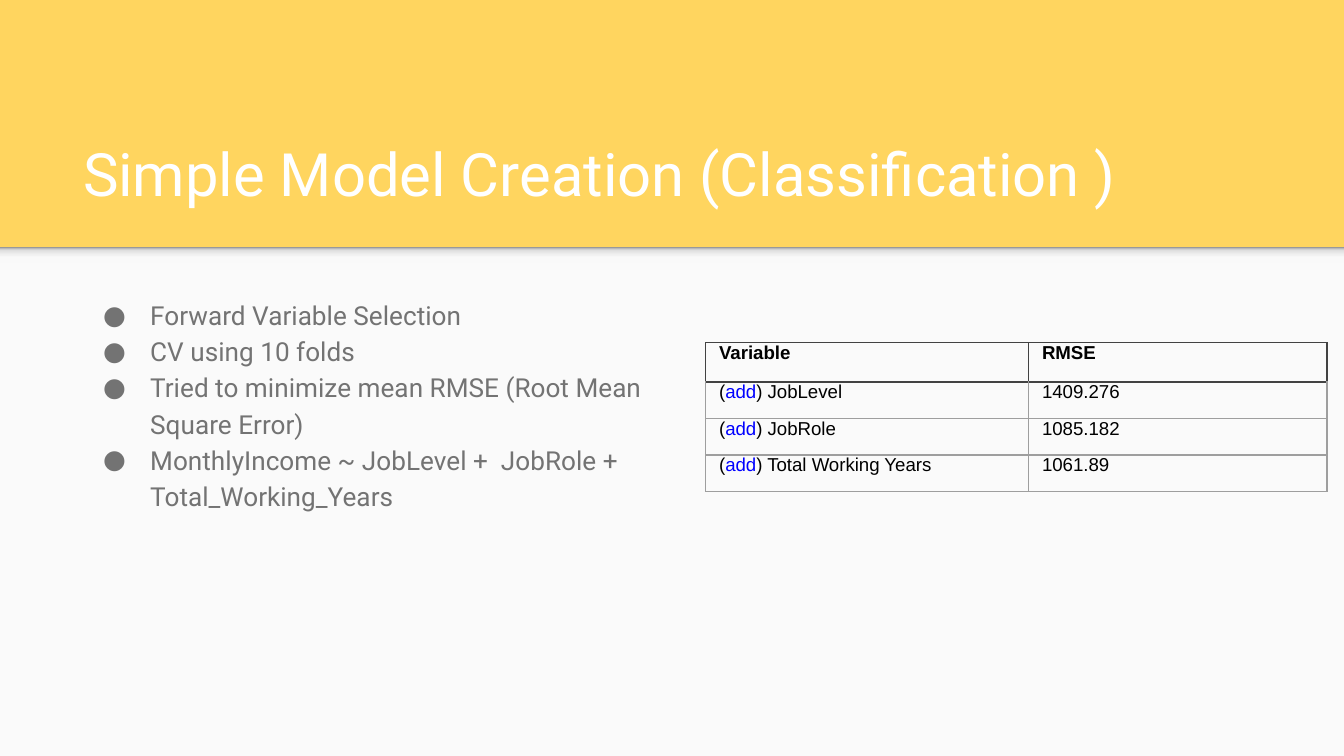
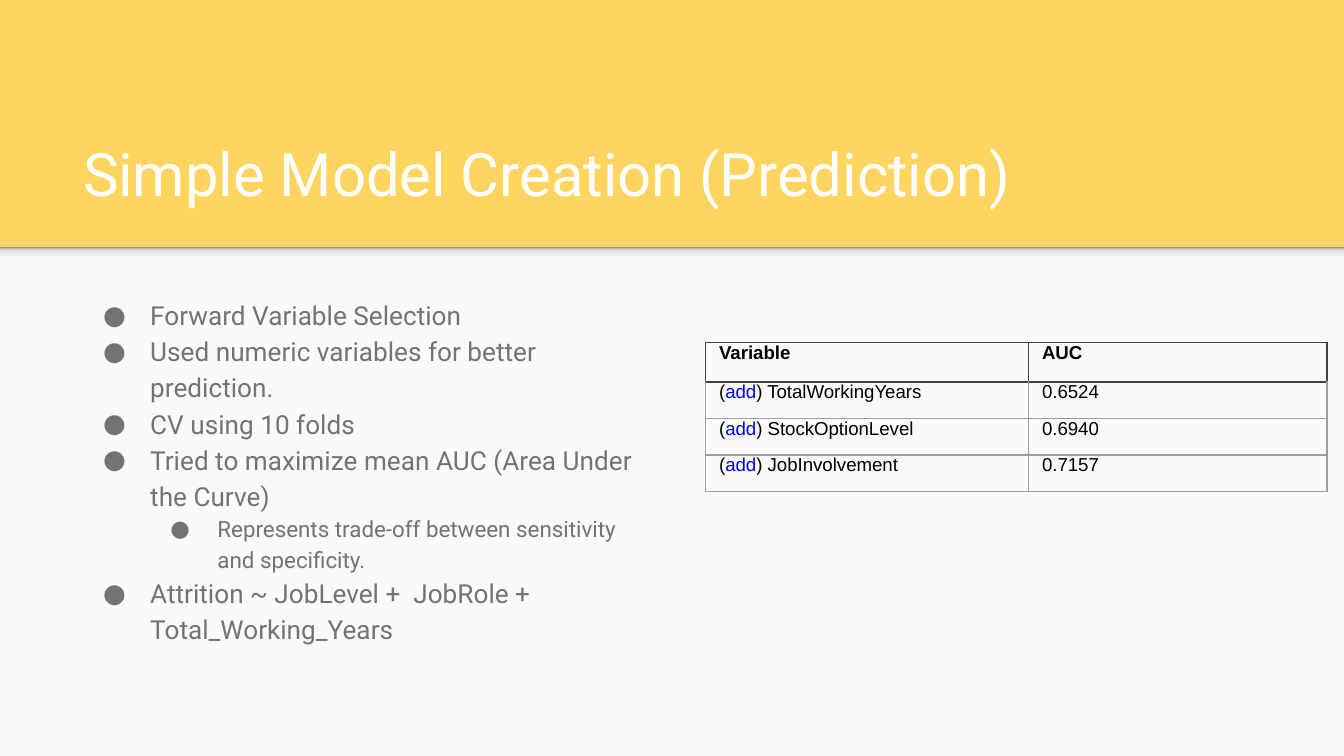
from collections import namedtuple
from dataclasses import dataclass

from lxml import etree
from pptx import Presentation
from pptx import util as u
from pptx.dml.color import RGBColor
from pptx.enum import shapes, text
from pptx.oxml.ns import qn

Box = namedtuple("Box", "x y w h")


@dataclass(frozen=True)
class Theme:
    band: str = "FFD55F"
    page: str = "FAFAFA"
    title: str = "FFFFFF"
    body: str = "737373"
    ink: str = "000000"
    link: str = "0000FF"
    rule: str = "9E9E9E"
    head: str = "424242"
    shade: tuple = ((0, "F9F9F9"), (36, "F9F9F9"), (80, "DEDEDE"), (100, "999999"))
    font: str = "Roboto"
    cell: str = "Arial"
    big: int = 32
    mid: int = 14
    sub: int = 12
    small: int = 10


T = Theme()
WIDE, HIGH, TOP = 25.4, 14.29, 4.67
PAD = 0.25
PAGE = Box(0, TOP, WIDE, HIGH - TOP)
TITLE = Box(1.32, 2.06, 22.83, 2.13)
BODY = Box(1.32, 5.33, 11.38, 7.52)
GRID = Box(13.34, 6.48, 11.74, 2.81)
SPLIT = 0.52   # share of the table's width in the first column
HEAD = 0.74    # height of the table's header row

SLIDES = [
    dict(
        title="Simple Model Creation (Classification )",
        points=[
            (0, "Forward Variable Selection"),
            (0, "CV using 10 folds"),
            (0, "Tried to minimize mean RMSE (Root Mean Square Error)"),
            (0, "MonthlyIncome ~ JobLevel +  JobRole + Total_Working_Years"),
        ],
        score="RMSE",
        steps=[("JobLevel", "1409.276"), ("JobRole", "1085.182"),
               ("Total Working Years", "1061.89")],
    ),
    dict(
        title="Simple Model Creation (Prediction)",
        points=[
            (0, "Forward Variable Selection"),
            (0, "Used numeric variables for better prediction."),
            (0, "CV using 10 folds"),
            (0, "Tried to maximize mean AUC (Area Under the Curve)"),
            (1, "Represents trade-off between sensitivity and specificity."),
            (0, "Attrition ~ JobLevel +  JobRole + Total_Working_Years"),
        ],
        score="AUC",
        steps=[("TotalWorkingYears", "0.6524"), ("StockOptionLevel", "0.6940"),
               ("JobInvolvement", "0.7157")],
    ),
]


def place(box):
    return [u.Cm(n) for n in box]


def node(up, tag, **attrs):
    return etree.SubElement(up, qn(tag), attrs)


def tint(up, color):
    node(node(up, "a:solidFill"), "a:srgbClr", val=color)


def write(para, words, font=T.font, size=T.mid, color=T.body, bold=False):
    """Add a formatted run to a paragraph."""
    run = para.add_run()
    run.text = words
    run.font.name, run.font.size, run.font.bold = font, u.Pt(size), bold
    run.font.color.rgb = RGBColor.from_string(color)


def add_frame(slide, box, anchor):
    frame = slide.shapes.add_textbox(*place(box)).text_frame
    frame.word_wrap = True
    frame.vertical_anchor = anchor
    frame.margin_left = frame.margin_right = u.Cm(PAD)
    frame.margin_top = frame.margin_bottom = u.Cm(PAD)
    return frame


def add_rect(slide, box):
    rect = slide.shapes.add_shape(shapes.MSO_SHAPE.RECTANGLE, *place(box))
    rect.shadow.inherit = False
    rect.line.fill.background()
    return rect


def add_page(slide, box):
    """Colour the slide, with a pale page and a soft shade along its top."""
    back = slide.background.fill
    back.solid()
    back.fore_color.rgb = RGBColor.from_string(T.band)
    page = add_rect(slide, box)
    page.fill.solid()
    page.fill.fore_color.rgb = RGBColor.from_string(T.page)

    shade = add_rect(slide, box._replace(h=0.3))
    shade.fill.gradient()
    shade.fill.gradient_angle = 90
    stops = shade.fill._fill._gradFill.find(qn("a:gsLst"))
    for old in list(stops):
        stops.remove(old)
    for at, color in T.shade:
        node(node(stops, "a:gs", pos=str(at * 1000)), "a:srgbClr", val=color)


def add_title(slide, box, words):
    frame = add_frame(slide, box, text.MSO_ANCHOR.BOTTOM)
    write(frame.paragraphs[0], words, size=T.big, color=T.title)


def bullet(para, level):
    para.level = level
    para.line_spacing = 1.15
    props = para._p.get_or_add_pPr()
    props.set("marL", str(u.Cm(1.27 * (level + 1))))
    props.set("indent", str(u.Cm(-0.89)))
    node(node(props, "a:buClr"), "a:srgbClr", val=T.body)
    node(props, "a:buFont", typeface=T.font)
    node(props, "a:buChar", char="●")


def add_points(slide, box, points):
    frame = add_frame(slide, box, text.MSO_ANCHOR.TOP)
    for i, (level, words) in enumerate(points):
        para = frame.add_paragraph() if i else frame.paragraphs[0]
        bullet(para, level)
        write(para, words, size=T.sub if level else T.mid)


def edge(cell, row):
    """Draw a cell's borders: dark around the header, grey elsewhere."""
    props = cell._tc.get_or_add_tcPr()
    for i, side in enumerate("LRTB"):
        dark = row == 0 or (row == 1 and side == "T")
        line = node(props, "a:ln" + side, w=str(u.Pt(0.75)))
        tint(line, T.head if dark else T.rule)
        props.insert(i, line)


def add_grid(slide, box, score, steps):
    rows = [("Variable", score), *steps]
    table = slide.shapes.add_table(len(rows), 2, *place(box)).table
    table.first_row = table.horz_banding = False
    for col, share in zip(table.columns, (SPLIT, 1 - SPLIT)):
        col.width = u.Cm(box.w * share)
    for r, row in enumerate(rows):
        table.rows[r].height = u.Cm((box.h - HEAD) / len(steps) if r else HEAD)
        for c, words in enumerate(row):
            cell = table.cell(r, c)
            cell.margin_left = cell.margin_bottom = u.Cm(PAD)
            cell.margin_top = cell.margin_right = 0
            cell.fill.background()
            edge(cell, r)
            parts = [(words, T.ink)]
            if r and c == 0:
                parts = [("(", T.ink), ("add", T.link), (") " + words, T.ink)]
            for part, color in parts:
                write(cell.text_frame.paragraphs[0], part, font=T.cell,
                      size=T.small, color=color, bold=r == 0)


def add_model(deck, title, points, score, steps):
    slide = deck.slides.add_slide(deck.slide_layouts[6])
    add_page(slide, PAGE)
    add_title(slide, TITLE, title)
    add_points(slide, BODY, points)
    add_grid(slide, GRID, score, steps)


def main():
    deck = Presentation()
    deck.slide_width, deck.slide_height = u.Cm(WIDE), u.Cm(HIGH)
    for data in SLIDES:
        add_model(deck, **data)
    deck.save("out.pptx")


if __name__ == "__main__":
    main()
